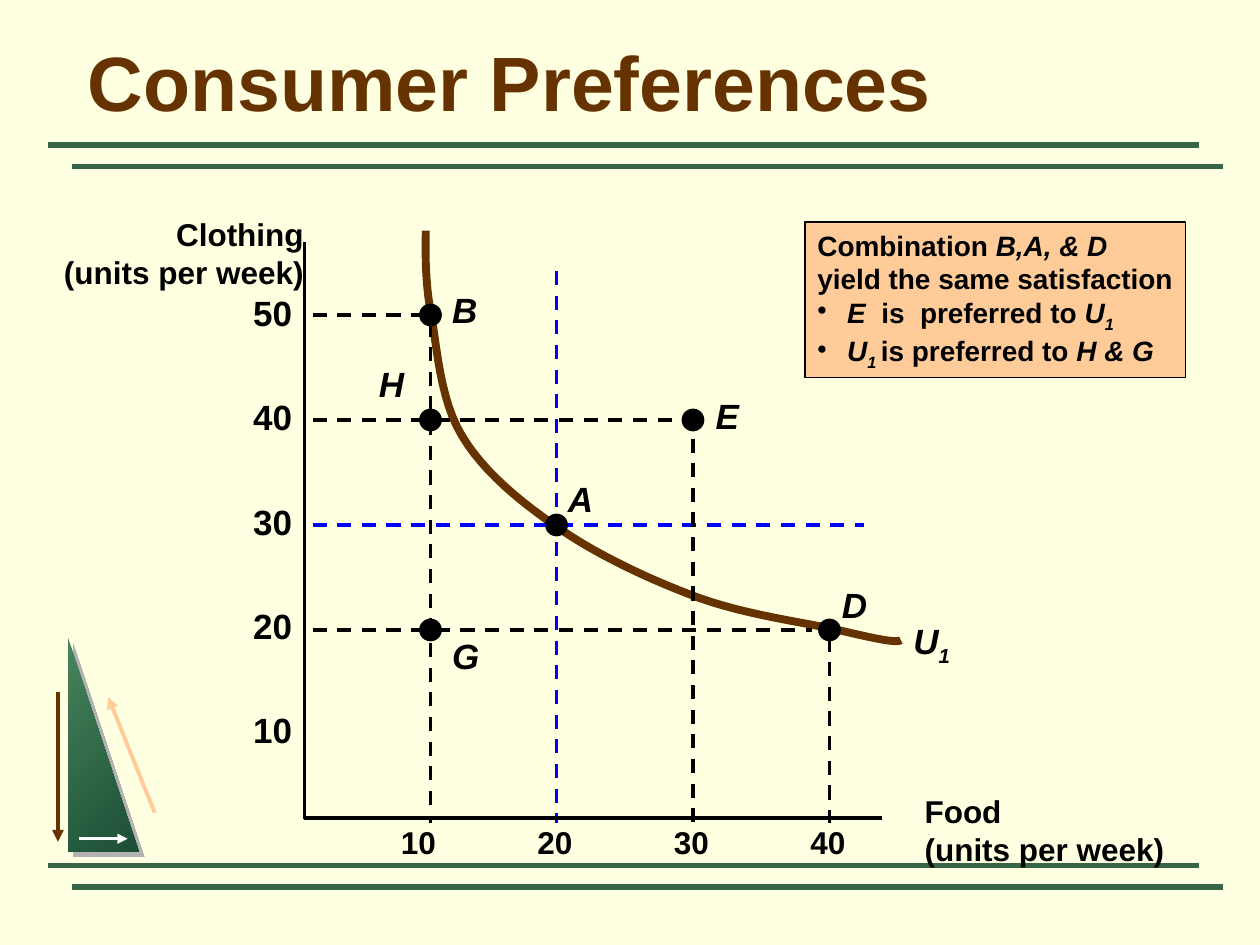
from dataclasses import dataclass

from pptx import Presentation
from pptx.dml.color import RGBColor
from pptx.enum.dml import MSO_LINE
from pptx.enum.shapes import MSO_CONNECTOR, MSO_SHAPE
from pptx.enum.text import MSO_ANCHOR, MSO_AUTO_SIZE, PP_ALIGN
from pptx.oxml import parse_xml
from pptx.oxml.ns import nsdecls, qn
from pptx.util import Pt


@dataclass(frozen=True)
class Theme:
    font: str = "Arial"
    page: str = "FFFFE1"
    ink: str = "000000"
    brown: str = "663300"
    peach: str = "FFCC99"
    green: str = "376546"
    blue: str = "0000FF"
    white: str = "FFFFFF"
    light: str = "48845C"
    dark: str = "1C4E35"
    shade: str = "B2B2B2"
    title: int = 44
    mark: int = 20
    label: int = 18
    note: int = 16


def rgb(code):
    return RGBColor.from_string(code)


def bend(start, parts, steps=12):
    """Return points along a chain of cubic Bezier parts."""
    points = [start]
    for a, b, end in parts:
        for n in range(1, steps + 1):
            t = n / steps
            s = 1 - t
            points.append(tuple(
                s**3 * p + 3 * s * s * t * q + 3 * s * t * t * r + t**3 * e
                for p, q, r, e in zip(start, a, b, end)))
        start = end
    return points


class Pen:
    def __init__(self, theme, slide):
        self.theme = theme
        self.slide = slide
        fill = slide.background.fill
        fill.solid()
        fill.fore_color.rgb = rgb(theme.page)

    def line(self, x1, y1, x2, y2, color, width=2, dash=False, arrow=False):
        item = self.slide.shapes.add_connector(
            MSO_CONNECTOR.STRAIGHT, Pt(x1), Pt(y1), Pt(x2), Pt(y2))
        item.line.color.rgb = rgb(color)
        item.line.width = Pt(width)
        if dash:
            item.line.dash_style = MSO_LINE.DASH
        props = item._element.spPr
        if arrow:
            props.find(qn("a:ln")).append(
                parse_xml(f'<a:tailEnd {nsdecls("a")} type="triangle"/>'))
        props.append(parse_xml(f'<a:effectLst {nsdecls("a")}/>'))

    def shape(self, kind, x, y, w, h, fill):
        item = self.slide.shapes.add_shape(kind, Pt(x), Pt(y), Pt(w), Pt(h))
        item.shadow.inherit = False
        item.fill.solid()
        item.fill.fore_color.rgb = rgb(fill)
        item.line.color.rgb = rgb(self.theme.ink)
        item.line.width = Pt(1)
        return item

    def wedge(self, x, y, w, h):
        """Draw the shaded triangle with its hard shadow."""
        item = self.shape(MSO_SHAPE.RIGHT_TRIANGLE, x, y, w, h, self.theme.light)
        item.line.fill.background()
        item.fill.gradient()
        item.fill.gradient_angle = 315
        for stop, color in zip(item.fill.gradient_stops,
                               (self.theme.light, self.theme.dark)):
            stop.color.rgb = rgb(color)
        item._element.spPr.find(qn("a:effectLst")).append(parse_xml(
            f'<a:outerShdw {nsdecls("a")} blurRad="0" dist="{Pt(4.2)}" dir="2700000"'
            f' algn="ctr" rotWithShape="0"><a:srgbClr val="{self.theme.shade}"/>'
            '</a:outerShdw>'))

    def curve(self, points, color, width):
        spots = [(Pt(x), Pt(y)) for x, y in points]
        maker = self.slide.shapes.build_freeform(*spots[0], scale=1.0)
        maker.add_line_segments(spots[1:], close=False)
        item = maker.convert_to_shape()
        item.shadow.inherit = False
        item.fill.background()
        item.line.color.rgb = rgb(color)
        item.line.width = Pt(width)

    def fill_text(self, frame, rows, size, color=None, align=PP_ALIGN.LEFT):
        """Write rows of (text, style); style holds i, s (lowered) or * (bullet)."""
        for n, row in enumerate(rows):
            para = frame.add_paragraph() if n else frame.paragraphs[0]
            para.alignment = align
            if "*" in row[0][1]:
                props = para._p.get_or_add_pPr()
                props.set("marL", str(Pt(17)))
                props.set("indent", str(-Pt(17)))
                props.append(parse_xml(f'<a:buChar {nsdecls("a")} char="•"/>'))
            for text, style in row:
                run = para.add_run()
                run.text = text
                font = run.font
                font.name = self.theme.font
                font.size = Pt(size)
                font.bold = True
                font.italic = "i" in style
                font.color.rgb = rgb(color or self.theme.ink)
                if "s" in style:
                    run._r.get_or_add_rPr().set("baseline", "-25000")

    def text(self, x, y, w, h, rows, size, **look):
        frame = self.slide.shapes.add_textbox(Pt(x), Pt(y), Pt(w), Pt(h)).text_frame
        frame.word_wrap = False
        frame.auto_size = MSO_AUTO_SIZE.SHAPE_TO_FIT_TEXT
        self.fill_text(frame, rows, size, **look)
        return frame

    def title(self, x, y, w, h, words):
        frame = self.text(x, y, w, h, [[(words, "")]], self.theme.title,
                          color=self.theme.brown)
        frame.word_wrap = True
        frame.auto_size = MSO_AUTO_SIZE.NONE
        frame.vertical_anchor = MSO_ANCHOR.BOTTOM

    def note(self, x, y, w, h, rows):
        frame = self.shape(MSO_SHAPE.RECTANGLE, x, y, w, h, self.theme.peach).text_frame
        frame.word_wrap = False
        frame.vertical_anchor = MSO_ANCHOR.TOP
        self.fill_text(frame, rows, self.theme.note)

    def dot(self, x, y, size=12):
        self.shape(MSO_SHAPE.OVAL, x - size / 2, y - size / 2, size, size, self.theme.ink)


def main():
    deck = Presentation()
    deck.slide_width, deck.slide_height = Pt(720), Pt(540)
    theme = Theme()
    pen = Pen(theme, deck.slides.add_slide(deck.slide_layouts[6]))

    for top in (82.8, 494.6):
        for left, drop in ((27.4, 0), (41, 12.3)):
            pen.line(left, top + drop, left + 658, top + drop, theme.green, 3)
    pen.wedge(38.9, 364.5, 40.5, 122.3)
    pen.line(33.1, 395.5, 33.1, 481, theme.brown, 2.25, arrow=True)
    pen.line(88.4, 464.4, 61.8, 398.3, theme.peach, 2.25, arrow=True)
    pen.line(45.4, 479.3, 73, 479.3, theme.white, 1.5, arrow=True)

    pen.text(514.8, 350.6, 35.3, 34.6, [[("U", "i"), ("1", "is")]], theme.mark)
    pen.note(460, 126.8, 217.4, 89, [
        [("Combination ", ""), ("B,A, & D", "i")],
        [("yield the same satisfaction", "")],
        [("E ", "i*"), (" is  preferred to ", ""), ("U", "i"), ("1", "is")],
        [("U", "i*"), ("1 ", "is"), ("is preferred to ", ""), ("H & G", "i")]])
    pen.curve(bend((243.3, 131.8), [
        ((243.3, 139.7), (242.5, 159), (246.2, 178.6)),
        ((249.8, 198), (251.3, 228.2), (264, 249)),
        ((276.5, 270), (298, 287.3), (321, 303)),
        ((343.4, 318.2), (374.4, 332.6), (400.4, 342)),
        ((427, 351.4), (459.4, 355.7), (478.8, 360)),
        ((497.5, 364.3), (512.6, 367.9), (514.8, 365.8))]), theme.brown, 4.5)

    # Food and clothing units mapped to the page
    across = {10: 246, 20: 318, 30: 396, 40: 474}
    down = {unit: 480 - 6 * unit for unit in (10, 20, 30, 40, 50)}
    for unit, end, color in ((30, 494, theme.blue), (50, 242, theme.ink),
                             (40, 392, theme.ink), (20, 464, theme.ink)):
        pen.line(178.6, down[unit], end, down[unit], color, dash=True)
    for unit, top, color in ((20, 154.8, theme.blue), (10, 184.3, theme.ink),
                             (30, 250.6, theme.ink), (40, 364.3, theme.ink)):
        pen.line(across[unit], top, across[unit], 470.2, color, dash=True)

    pen.title(43.2, 15.1, 628.6, 61.2, "Consumer Preferences")
    pen.line(174, 138.2, 174, 468, theme.ink)
    pen.line(173.5, 467.3, 504, 467.3, theme.ink)
    for x, y, name, align in ((29.5, 119.5, "Clothing", PP_ALIGN.RIGHT),
                              (521.3, 449.3, "Food", PP_ALIGN.LEFT)):
        pen.text(x, y, 151.2, 50.4, [[(name, "")], [("(units per week)", "")]],
                 theme.label, align=align)
    for unit in down:
        pen.text(137.5, 461 - 5.96 * unit, 36.7, 31, [[(str(unit), "")]], theme.mark)
    for unit in across:
        pen.text(144 + 7.8 * unit, 466.6, 34.6, 28.8, [[(str(unit), "")]], theme.label)

    spots = (("G", 10, 20, 5.3, -0.7), ("D", 40, 20, 0, -30.2), ("A", 20, 30, -0.5, -30.7),
             ("E", 30, 40, 5.8, -18.2), ("H", 10, 40, -36.5, -36.2), ("B", 10, 50, 5.3, -18.7))
    for name, food, cloth, right, below in spots:
        x, y = across[food], down[cloth]
        pen.dot(x, y)
        pen.text(x + right, y + below, 28.8, 31, [[(name, "i")]], theme.mark)

    deck.save("out.pptx")


if __name__ == "__main__":
    main()
